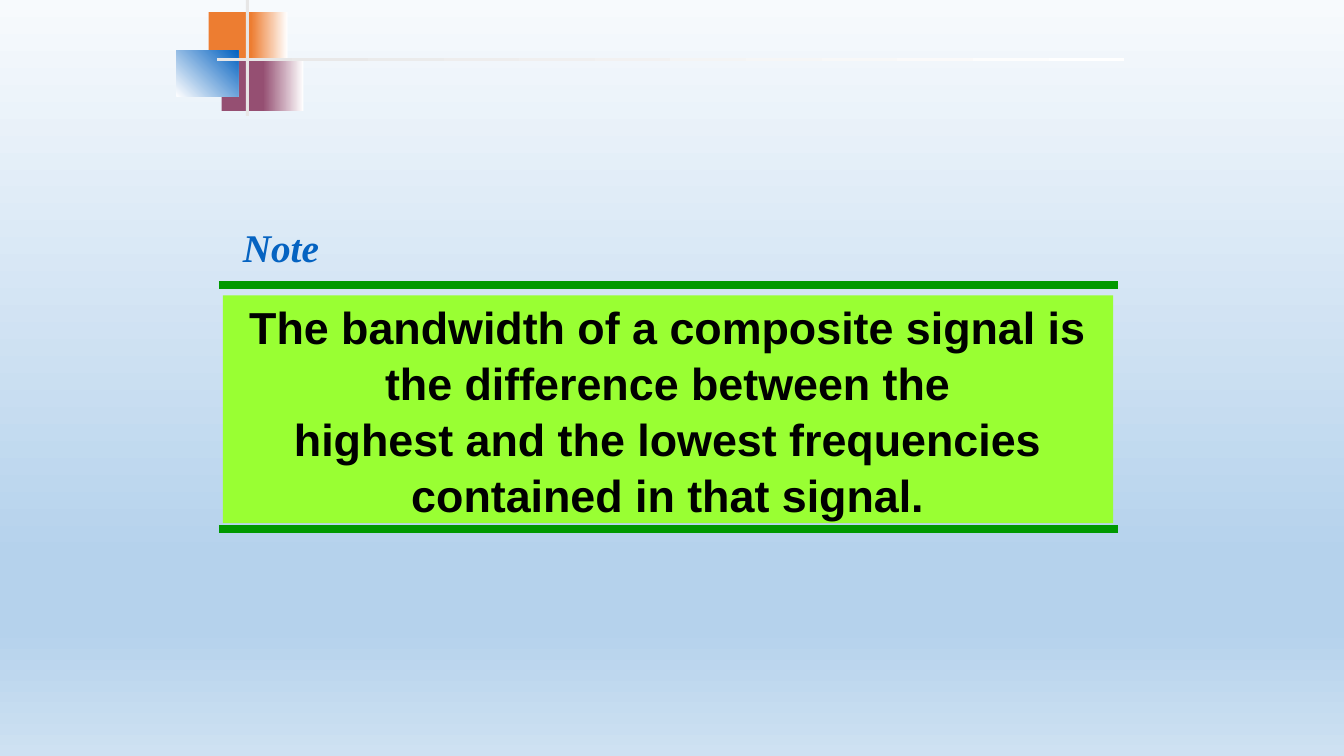
from lxml.etree import SubElement
from pptx import Presentation
from pptx.dml.color import RGBColor
from pptx.enum.shapes import MSO_CONNECTOR as Connector, MSO_SHAPE as Shape
from pptx.enum.text import MSO_ANCHOR as Anchor, PP_ALIGN as Align
from pptx.oxml.ns import qn
from pptx.util import Inches, Pt

COLORS = {
    "orange": "ED7D31", "plum": "954F72", "blue": "0563C1", "grey": "E7E6E6",
    "white": "FFFFFF", "black": "000000", "green": "009900", "lime": "99FF33",
    "sky_top": "F7FAFD", "sky_deep": "B5D2EC", "sky_base": "CEE1F2",
}
WIDTH, HEIGHT = 13.33, 7.5
COLUMNS, ROWS = 100, 100


class NoteSlide:
    """Draws styled elements on one page, placed in columns and rows of a 100 by 100 grid."""

    def __init__(self, deck):
        self.page = deck.slides.add_slide(deck.slide_layouts[6])

    def place(self, column, row):
        return Inches(column * WIDTH / COLUMNS), Inches(row * HEIGHT / ROWS)

    def color(self, name):
        return RGBColor.from_string(COLORS[name])

    def gradient(self, fill, element, stops, clockwise):
        fill.gradient()
        fill.gradient_angle = (360 - clockwise) % 360
        stop_list = next(element.iter(qn("a:gsLst")))
        for old_stop in list(stop_list):
            stop_list.remove(old_stop)
        for share, name in stops:
            stop = SubElement(stop_list, qn("a:gs"), pos=str(share * 1000))
            SubElement(stop, qn("a:srgbClr"), val=COLORS[name])

    def background(self, stops):
        self.gradient(self.page.background.fill, self.page._element, stops, 90)

    def block(self, column, row, columns, rows, start, end=None, clockwise=0):
        box = self.page.shapes.add_shape(
            Shape.RECTANGLE, *self.place(column, row), *self.place(columns, rows))
        box.shadow.inherit = False
        box.line.fill.background()
        if end:
            self.gradient(box.fill, box._element, [(0, start), (100, end)], clockwise)
        else:
            box.fill.solid()
            box.fill.fore_color.rgb = self.color(start)
        return box

    def rule(self, left, right, row, name, weight):
        line = self.page.shapes.add_connector(
            Connector.STRAIGHT, *self.place(left, row), *self.place(right, row))
        line.line.color.rgb = self.color(name)
        line.line.width = Pt(weight)
        SubElement(line._element.spPr, qn("a:effectLst"))

    def set_text(self, box, lines, font, size, name, align, italic=False, spacing=1.0):
        frame = box.text_frame
        frame.word_wrap = True
        for index, line in enumerate(lines):
            para = frame.add_paragraph() if index else frame.paragraphs[0]
            para.text = line
            para.alignment = align
            para.line_spacing = spacing
            para.font.name = font
            para.font.size = Pt(size)
            para.font.bold = True
            para.font.italic = italic
            para.font.color.rgb = self.color(name)

    def label(self, column, row, columns, rows, text):
        box = self.page.shapes.add_textbox(
            *self.place(column, row), *self.place(columns, rows))
        self.set_text(box, [text], "Times New Roman", 28, "blue", Align.LEFT, italic=True)

    def panel(self, column, row, columns, rows, lines):
        box = self.block(column, row, columns, rows, "lime")
        box.text_frame.vertical_anchor = Anchor.MIDDLE
        self.set_text(box, lines, "Arial", 32, "black", Align.CENTER, spacing=1.04)


def main():
    deck = Presentation()
    deck.slide_width, deck.slide_height = Inches(WIDTH), Inches(HEIGHT)
    slide = NoteSlide(deck)
    slide.background([(0, "sky_top"), (74, "sky_deep"), (83, "sky_deep"), (100, "sky_base")])

    slide.block(15.53, 1.6, 3.6, 6.93, "orange")
    slide.block(18.68, 1.6, 2.7, 6.93, "orange", "white")
    slide.block(16.5, 7.73, 3.45, 6.93, "plum")
    slide.block(19.58, 7.73, 3, 6.93, "plum", "white")
    slide.block(13.13, 6.67, 4.58, 6.13, "white", "blue", clockwise=315)
    slide.block(18.3, 0, 0.23, 15.33, "grey")
    slide.block(16.13, 7.73, 67.52, 0.4, "grey", "white")

    for row in (37.73, 70):
        slide.rule(16.28, 83.15, row, "green", 6)
    slide.panel(16.58, 39.07, 66.24, 30.13, [
        "The bandwidth of a composite signal is the difference between the",
        "highest and the lowest frequencies contained in that signal.",
    ])
    slide.label(17.33, 28.93, 7.2, 7.6, "Note")
    deck.save("out.pptx")


if __name__ == "__main__":
    main()
